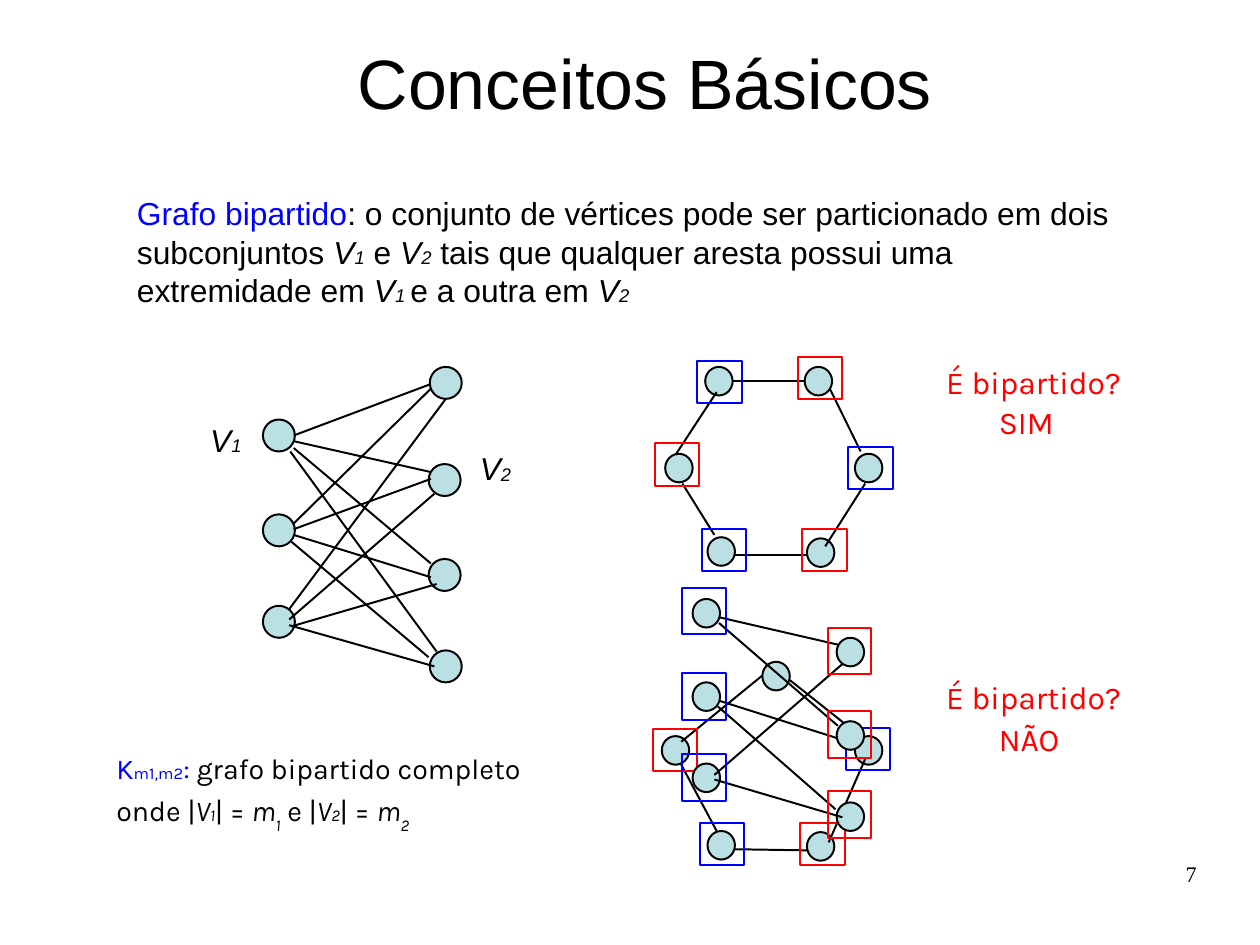
from lxml import etree
from pptx import Presentation
from pptx.dml.color import RGBColor
from pptx.enum.shapes import MSO_CONNECTOR, MSO_SHAPE
from pptx.enum.text import MSO_ANCHOR, PP_ALIGN
from pptx.oxml.ns import qn
from pptx.util import Inches, Pt

OVAL, RECT, LINE = MSO_SHAPE.OVAL, MSO_SHAPE.RECTANGLE, MSO_CONNECTOR.STRAIGHT
LEFT, CENTER, RIGHT = PP_ALIGN.LEFT, PP_ALIGN.CENTER, PP_ALIGN.RIGHT
MIDDLE = MSO_ANCHOR.MIDDLE
BLACK, BLUE, RED, NODE = "000000", "0000FF", "FF0000", "BBE0E3"
CM_PER_INCH = 2.54

KEY = {"color": BLUE}
VAR = {"italic": True}
SUB = {"italic": True, "baseline": -1}
KEY_SUB = {"color": BLUE, "baseline": -1}
LOW = {"italic": True, "baseline": -33}
V1 = [("V", VAR), ("1", SUB)]
V2 = [("V", VAR), ("2", SUB)]

DEFINITION = [
    ("Grafo bipartido", KEY),
    (": o conjunto de vértices pode ser particionado em dois subconjuntos ", {}),
    *V1, (" e ", {}), *V2,
    (" tais que qualquer aresta possui uma extremidade em ", {}),
    ("V", VAR), ("1 ", SUB), ("e a outra em ", {}), *V2,
]
COMPLETE = [
    [("K", KEY), ("m1,m2", KEY_SUB), (":", KEY), (" grafo bipartido completo", {})],
    [("onde |", {}), *V1, ("| = ", {}), ("m", VAR), ("1", LOW),
     (" e |", {}), *V2, ("| = ", {}), ("m", VAR), ("2", LOW)],
]

K34_NODES = [(2.3, 5.3), (2.3, 4.5), (3.76, 3.21), (2.3, 3.67),
             (3.76, 5.69), (3.75, 4.89), (3.75, 4.06)]
K34_EDGES = [
    (2.57, 3.81, 3.77, 3.36), (2.57, 3.86, 3.77, 4.13), (2.57, 3.92, 3.77, 4.93),
    (2.54, 3.95, 3.82, 5.7), (2.57, 4.58, 3.77, 3.4), (2.57, 4.63, 3.77, 4.19),
    (2.57, 4.68, 3.77, 5.05), (2.55, 4.74, 3.75, 5.75), (3.9, 3.49, 2.53, 5.33),
    (3.8, 4.32, 2.53, 5.42), (3.82, 5.11, 2.55, 5.48), (3.8, 5.83, 2.53, 5.47),
]
HEXAGON_NODES = [(6.19, 4.7), (7.06, 4.71), (5.82, 3.97),
                 (7.48, 3.97), (6.17, 3.21), (7.04, 3.21)]
HEXAGON_EDGES = [
    (6.43, 4.86, 7.07, 4.86), (6.41, 3.33, 7.04, 3.33), (6.27, 3.43, 5.91, 3.98),
    (7.26, 3.4, 7.53, 3.95), (7.57, 4.23, 7.22, 4.78), (5.97, 4.23, 6.25, 4.68),
]
PENTAGON_NODES = [(6.19, 7.27), (7.06, 7.28), (5.79, 6.44), (7.48, 6.44), (6.67, 5.79)]
PENTAGON_EDGES = [
    (5.96, 6.69, 6.27, 7.27), (7.25, 7.37, 7.57, 6.64), (6.43, 7.43, 7.07, 7.44),
    (5.96, 6.49, 6.67, 5.91), (6.91, 5.95, 7.54, 6.45),
]
LADDER_NODES = [(x, y + dy) for x, dy in ((6.06, 0), (7.32, 0.34))
                for y in (6.68, 5.97, 5.24)]
LADDER_EDGES = [
    (6.29, 5.4, 7.33, 5.64), (6.29, 5.45, 7.33, 6.35), (6.29, 6.13, 7.33, 6.46),
    (6.28, 6.18, 7.31, 7.08), (7.37, 5.81, 6.25, 6.78), (7.37, 7.15, 6.25, 6.82),
]


def rgb(value):
    """Turn a hex string into a colour."""
    return RGBColor.from_string(value)


class Deck:
    """Holds the line style and the current slide, and draws its elements."""

    line_width = Pt(1.25)

    def __init__(self, prs):
        """Add a title-only slide."""
        self.s = prs.slides.add_slide(prs.slide_layouts[5])

    def fill_text(self, sp, paragraphs, font, size, color=BLACK, align=LEFT, inset=0.1):
        """Write paragraphs of (text, format) runs into a shape."""
        tf = sp.text_frame
        frame = {"word_wrap": True, "margin_left": Inches(inset),
                 "margin_right": Inches(inset), "margin_top": Inches(inset / 2),
                 "margin_bottom": Inches(inset / 2)}
        for name, value in frame.items():
            setattr(tf, name, value)
        for i, runs in enumerate(paragraphs):
            p = tf.add_paragraph() if i else tf.paragraphs[0]
            p.alignment = align
            p.space_before = Pt(5 if i else 0)
            for text, extra in runs:
                r = p.add_run()
                r.text = text
                style = {"name": font, "size": Pt(size), "italic": extra.get("italic", False)}
                for name, value in style.items():
                    setattr(r.font, name, value)
                r.font.color.rgb = rgb(extra.get("color", color))
                if "baseline" in extra:
                    r._r.get_or_add_rPr().set("baseline", str(extra["baseline"] * 1000))

    def title(self, text, box):
        """Place and format the title placeholder."""
        sp = self.s.shapes.title
        sp.left, sp.top, sp.width, sp.height = map(Inches, box)
        sp.text_frame.vertical_anchor = MIDDLE
        self.fill_text(sp, [[(text, {})]], "Arial", 44, align=CENTER)

    def text(self, box, paragraphs, font, size, **style):
        """Add a text box."""
        sp = self.s.shapes.add_textbox(*map(Inches, box))
        self.fill_text(sp, paragraphs, font, size, **style)

    def shape(self, kind, box, line, fill=None):
        """Add an outlined shape, filled or hollow."""
        sp = self.s.shapes.add_shape(kind, *map(Inches, box))
        sp.shadow.inherit = False
        if fill:
            sp.fill.solid()
            sp.fill.fore_color.rgb = rgb(fill)
        else:
            sp.fill.background()
        sp.line.color.rgb = rgb(line)
        sp.line.width = self.line_width

    def edge(self, ends):
        """Add a straight black line."""
        cx = self.s.shapes.add_connector(LINE, *map(Inches, ends))
        cx.line.color.rgb = rgb(BLACK)
        cx.line.width = self.line_width
        etree.SubElement(cx._element.spPr, qn("a:effectLst"))

    def graph(self, nodes, edges, width=0.24, height=0.25):
        """Add the vertices and edges of a graph."""
        for x, y in nodes:
            self.shape(OVAL, (x, y, width, height), BLACK, NODE)
        for ends in edges:
            self.edge(ends)

    def frames(self, corners, color, width=0.39, height=0.37):
        """Add hollow boxes that mark a subset of vertices."""
        for x, y in corners:
            self.shape(RECT, (x, y, width, height), color)

    def verdict(self, top, answer, answer_top):
        """Add the question and its answer beside a graph."""
        for box, text in (((8.18, top, 1.93, 0.55), "É bipartido?"),
                          ((8.64, answer_top, 0.83, 0.55), answer)):
            self.text(box, [[(text, {})]], "Karla", 20, color=RED)


def main():
    """Build the slide and save it."""
    prs = Presentation()
    prs.slide_width, prs.slide_height = Inches(28 / CM_PER_INCH), Inches(21 / CM_PER_INCH)
    deck = Deck(prs)
    deck.title("Conceitos Básicos", (1.74, 0.28, 7.81, 0.87))
    deck.text((1.1, 1.65, 8.73, 4.3), [DEFINITION], "Arial", 20)

    deck.graph(K34_NODES, K34_EDGES, 0.28, 0.28)
    deck.text((0.92, 6.52, 4.5, 0.92), COMPLETE, "Karla", 18)

    deck.graph(HEXAGON_NODES, HEXAGON_EDGES)
    deck.verdict(3.12, "SIM", 3.47)
    deck.graph(PENTAGON_NODES, PENTAGON_EDGES)
    deck.verdict(5.88, "NÃO", 6.25)
    deck.frames([(6.14, 4.63), (7.42, 3.91), (6.1, 3.16)], BLUE)
    deck.frames([(5.73, 3.88), (7.02, 4.63), (6.98, 3.12)], RED)
    deck.frames([(6.12, 7.2), (7.4, 6.37)], BLUE)
    deck.frames([(5.71, 6.38), (7, 7.2)], RED)

    deck.graph(LADDER_NODES, LADDER_EDGES)
    deck.frames([(5.97, y) for y in (5.14, 5.89, 6.6)], BLUE, 0.38, 0.41)
    deck.frames([(7.24, y) for y in (6.92, 6.22, 5.49)], RED, 0.38, 0.41)

    deck.text((1.74, 3.63, 0.49, 0.41), [V1], "Arial", 19.9)
    deck.text((4.1, 3.88, 0.49, 0.41), [V2], "Arial", 19.9)
    deck.text((7.9, 7.53, 2.57, 0.57), [[("7", {})]], "Times New Roman", 14,
              align=RIGHT, inset=0)
    prs.save("out.pptx")


if __name__ == "__main__":
    main()
